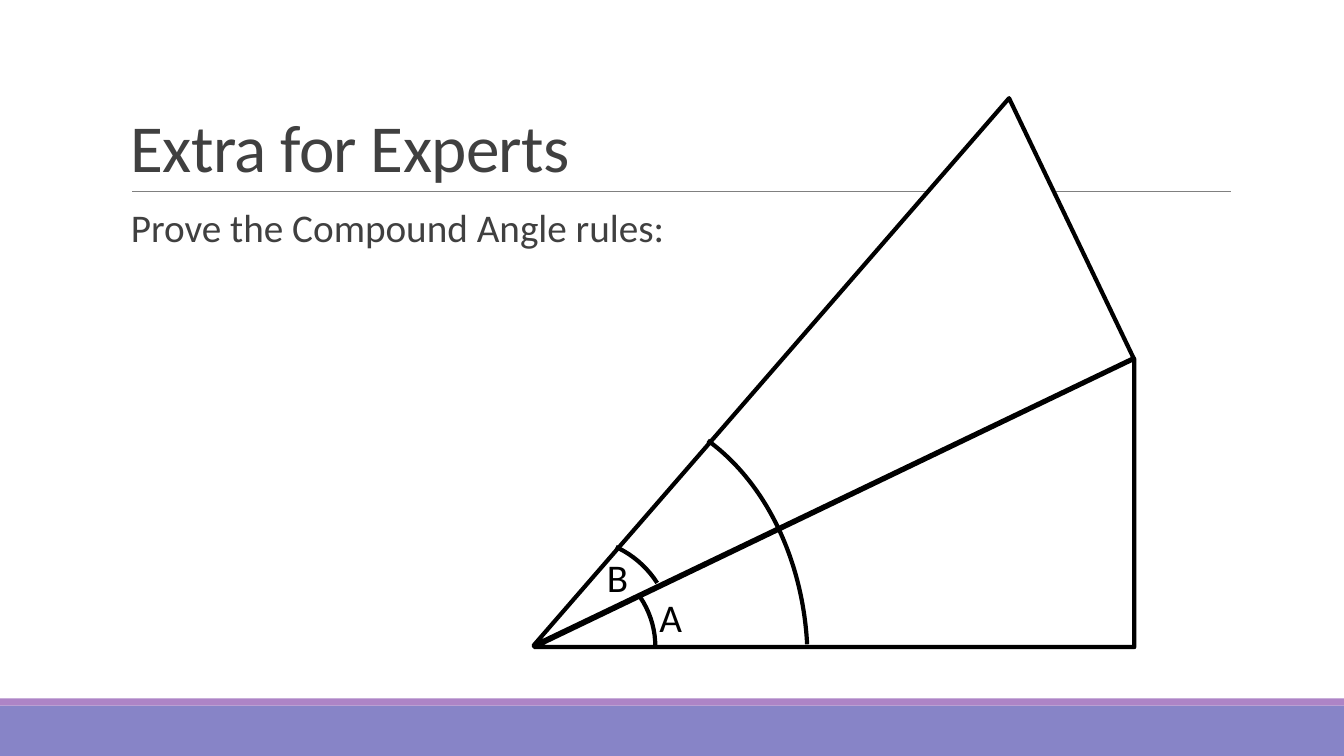
from dataclasses import dataclass

from lxml import etree
from pptx import Presentation
from pptx.dml.color import RGBColor
from pptx.enum.shapes import MSO_CONNECTOR, MSO_SHAPE
from pptx.enum.text import MSO_ANCHOR
from pptx.oxml.ns import qn
from pptx.util import Inches, Pt

COLORS = {
    "band": "8784C7",
    "stripe": "AD84C6",
    "rule": "808080",
    "text": "404040",
    "ink": "000000",
    "paper": "FFFFFF",
}


@dataclass
class Box:
    left: float
    top: float
    width: float
    height: float

    def inches(self) -> list:
        return [Inches(v) for v in (self.left, self.top, self.width, self.height)]


@dataclass
class Label:
    text: str
    box: Box
    size: int = 28
    color: str = "ink"
    wrap: bool = False
    anchor: MSO_ANCHOR = MSO_ANCHOR.TOP
    line_spacing: float = 1.0
    tracking: int = 0  # hundredths of a point


@dataclass
class Triangle:
    box: Box
    rotation: float = 0


@dataclass
class Arc:
    box: Box
    start: float  # hundreds of thousands of 1/60000 degree
    end: float


BANDS = [("band", Box(0, 7, 13.33, 0.5)), ("stripe", Box(0, 6.93, 13.33, 0.07))]
TRIANGLES = [
    Triangle(Box(5.3, 3.56, 5.95, 2.86)),
    Triangle(Box(4.35, 2.26, 6.6, 2.86), 334.4),
]
ARCS = [
    Arc(Box(4.75, 5.54, 1.75, 1.75), 195.56, 0),
    Arc(Box(4.75, 5.34, 1.92, 1.93), 176.61, 196.31),
    Arc(Box(4.14, 4.05, 3.87, 5.03), 175.98, 212.94),
]
HEADINGS = [
    Label("Extra for Experts", Box(1.2, 0.31, 11, 1.59), 48, "text", True,
          MSO_ANCHOR.BOTTOM, 0.85, -50),
    Label("Prove the Compound Angle rules:", Box(1.2, 2.02, 11, 4.4), 28, "text", True,
          line_spacing=0.9),
]
ANGLE_NAMES = [
    Label("A", Box(6.44, 5.84, 0.39, 0.57)),
    Label("B", Box(5.92, 5.44, 0.39, 0.57)),
]


def rgb(name: str) -> RGBColor:
    return RGBColor.from_string(COLORS[name])


def add_shape(shapes, kind: MSO_SHAPE, box: Box, fill: str = "", outlined: bool = True):
    sp = shapes.add_shape(kind, *box.inches())
    sp.shadow.inherit = False
    if fill:
        sp.fill.solid()
        sp.fill.fore_color.rgb = rgb(fill)
    else:
        sp.fill.background()
    if outlined:
        sp.line.color.rgb = rgb("ink")
        sp.line.width = Pt(3)
    else:
        sp.line.fill.background()
    return sp


def add_triangle(shapes, triangle: Triangle) -> None:
    sp = add_shape(shapes, MSO_SHAPE.RIGHT_TRIANGLE, triangle.box, "paper")
    sp.rotation = triangle.rotation
    sp._element.spPr.find(qn("a:xfrm")).set("flipH", "1")


def add_arc(shapes, arc: Arc) -> None:
    sp = add_shape(shapes, MSO_SHAPE.ARC, arc.box)
    sp.adjustments[0] = arc.start
    sp.adjustments[1] = arc.end


def add_rule(shapes, left: float, right: float, y: float) -> None:
    line = shapes.add_connector(
        MSO_CONNECTOR.STRAIGHT, Inches(left), Inches(y), Inches(right), Inches(y))
    line.line.color.rgb = rgb("rule")
    line.line.width = Pt(0.5)
    etree.SubElement(line._element.spPr, qn("a:effectLst"))


def add_label(shapes, label: Label) -> None:
    tf = shapes.add_textbox(*label.box.inches()).text_frame
    tf.word_wrap = label.wrap
    tf.vertical_anchor = label.anchor
    p = tf.paragraphs[0]
    p.line_spacing = label.line_spacing
    r = p.add_run()
    r.text = label.text
    p.font.name = "Calibri"
    p.font.size = Pt(label.size)
    p.font.color.rgb = rgb(label.color)
    if label.tracking:
        r.font._element.set("spc", str(label.tracking))


def main() -> None:
    prs = Presentation()
    prs.slide_width, prs.slide_height = Inches(13.33), Inches(7.5)
    s = prs.slides.add_slide(prs.slide_layouts[6])

    # Footer bands and title rule
    for color, box in BANDS:
        add_shape(s.shapes, MSO_SHAPE.RECTANGLE, box, color, outlined=False)
    add_rule(s.shapes, 1.31, 12.21, 1.9)

    # Title and task
    for label in HEADINGS:
        add_label(s.shapes, label)

    # Stacked right triangles
    group = s.shapes.add_group_shape()
    for triangle in TRIANGLES:
        add_triangle(group.shapes, triangle)

    # Angle arcs and names
    for arc in ARCS:
        add_arc(s.shapes, arc)
    for label in ANGLE_NAMES:
        add_label(s.shapes, label)

    prs.save("out.pptx")


if __name__ == "__main__":
    main()
